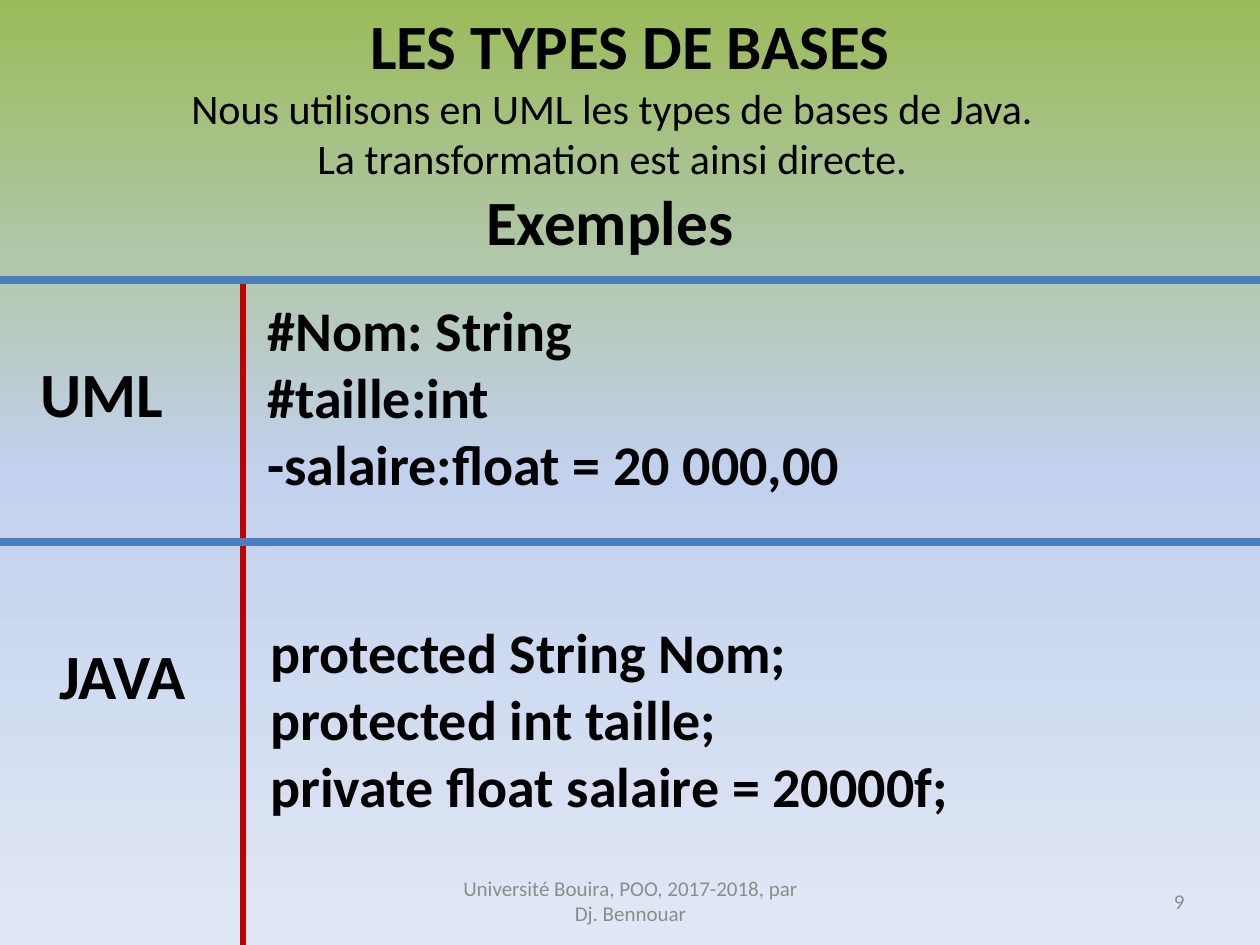
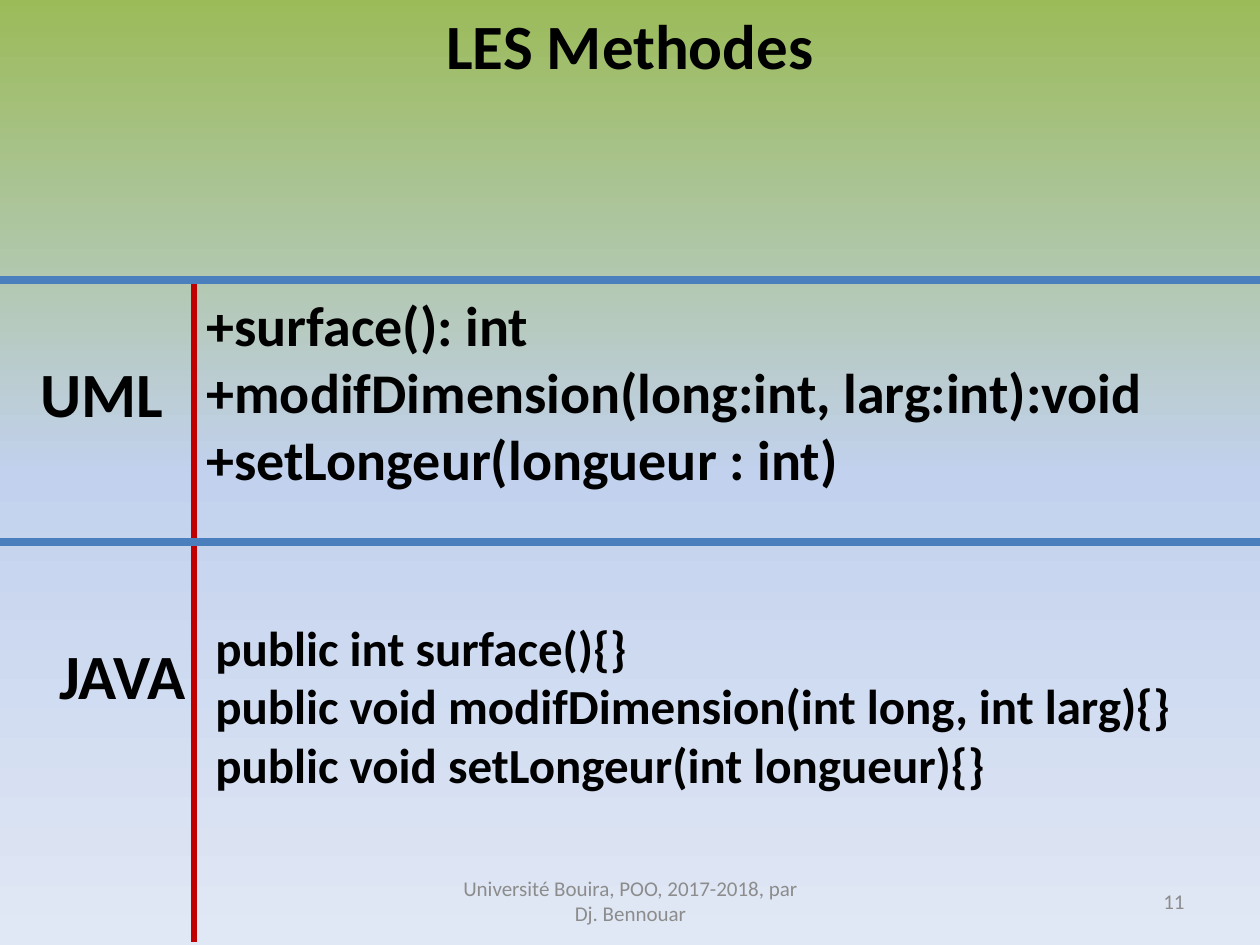
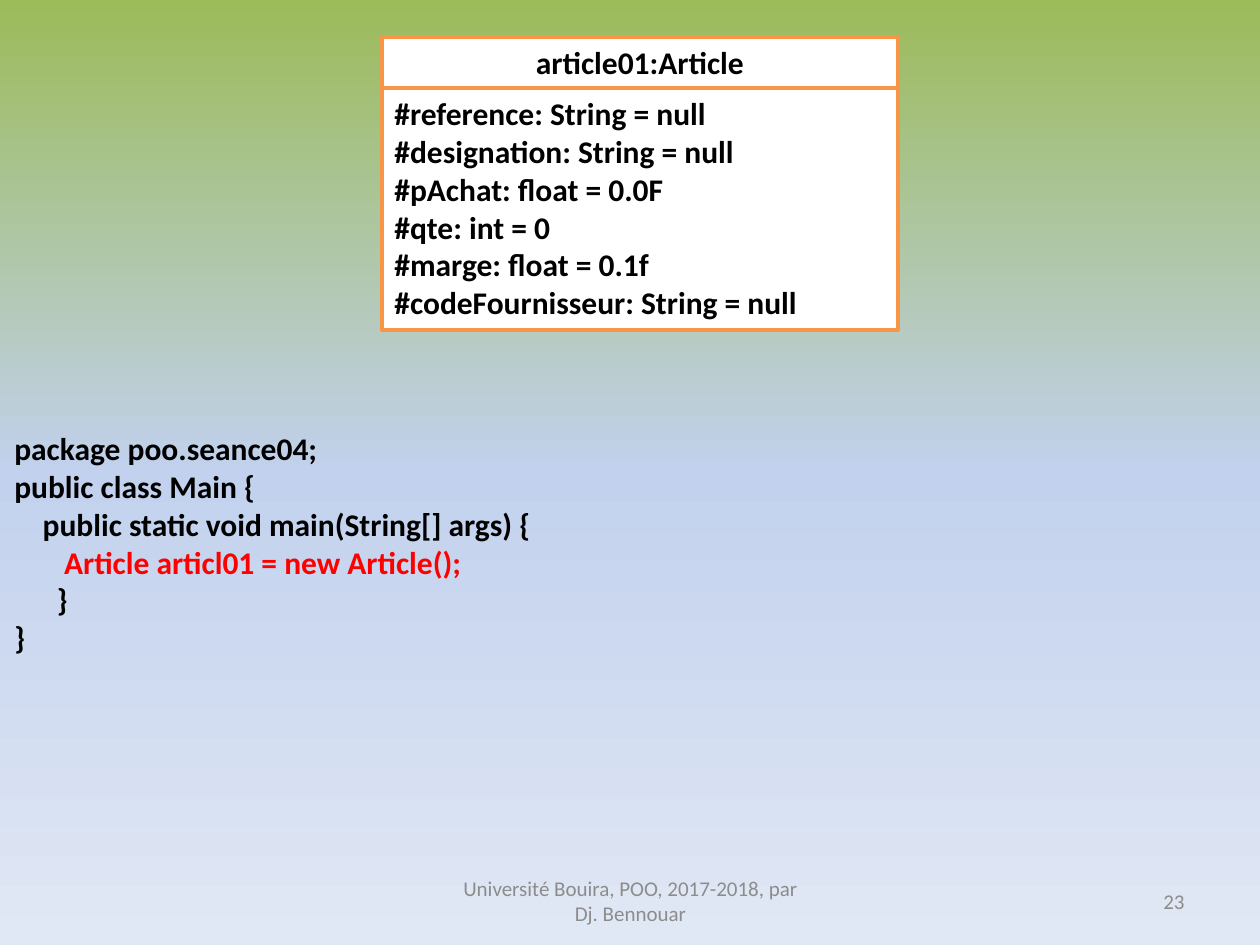
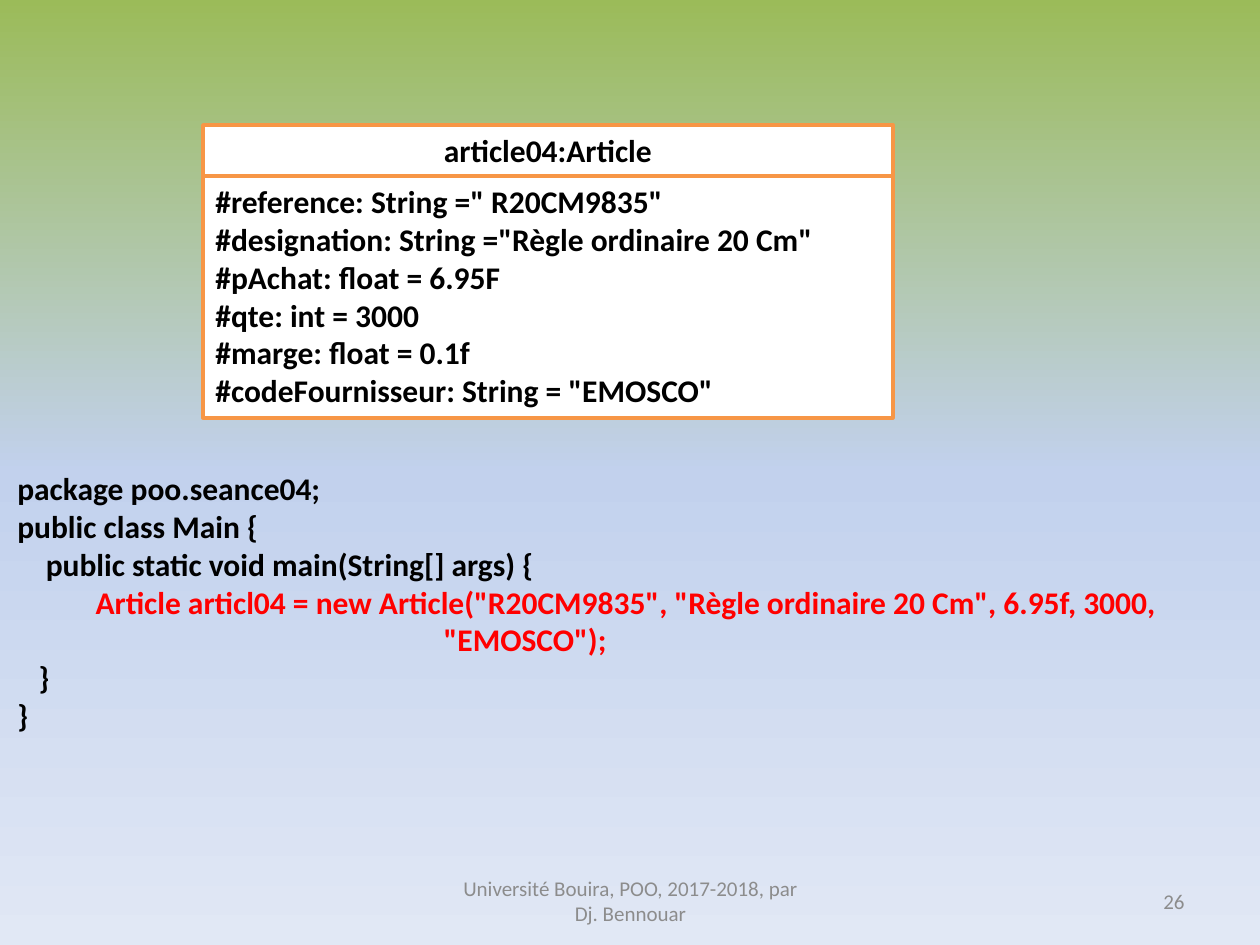
"""Build four slides on UML and Java: base types, methods and Article objects."""
from copy import deepcopy

from lxml import etree
from pptx import Presentation
from pptx.dml.color import RGBColor
from pptx.enum.shapes import MSO_CONNECTOR, MSO_SHAPE
from pptx.enum.text import MSO_ANCHOR, MSO_AUTO_SIZE, PP_ALIGN
from pptx.oxml.ns import qn
from pptx.util import Emu, Pt

LEFT, CENTER, RIGHT = PP_ALIGN.LEFT, PP_ALIGN.CENTER, PP_ALIGN.RIGHT
TOP, MIDDLE = MSO_ANCHOR.TOP, MSO_ANCHOR.MIDDLE
GROW, FIXED = MSO_AUTO_SIZE.SHAPE_TO_FIT_TEXT, MSO_AUTO_SIZE.NONE
STRAIGHT = MSO_CONNECTOR.STRAIGHT
RECTANGLE = MSO_SHAPE.RECTANGLE

SCALE = 914400 / 126
WIDTH, HEIGHT = 1260, 945
FONT = "Calibri"

BLACK = RGBColor(0x00, 0x00, 0x00)
WHITE = RGBColor(0xFF, 0xFF, 0xFF)
GRAY = RGBColor(0x8C, 0x8C, 0x8C)
BLUE = RGBColor(0x4B, 0x7E, 0xBC)
DARK_RED = RGBColor(0xC0, 0x00, 0x00)
RED = RGBColor(0xFF, 0x00, 0x00)
ORANGE = RGBColor(0xF7, 0x96, 0x46)
BACKGROUND = (
    RGBColor(0x9B, 0xBB, 0x59),
    RGBColor(0xC2, 0xD1, 0xED),
    RGBColor(0xE1, 0xE8, 0xF5),
)

FOOTER = "Université Bouira, POO, 2017-2018, par Dj. Bennouar"
FOOTER_INSET = 25
RULES = (280, 542)


def px(*lengths):
    """Turn pixel lengths into EMU."""
    return [Emu(round(n * SCALE)) for n in lengths]


def set_background(master):
    """Give the master the shared vertical three-colour gradient."""
    fill = master.background.fill
    fill.gradient()
    fill.gradient_angle = 270
    stops = next(master.element.iter(qn("a:gsLst")))
    stops.insert(1, deepcopy(stops[0]))
    for i, (stop, color) in enumerate(zip(fill.gradient_stops, BACKGROUND)):
        stop.position = i / 2
        stop.color.rgb = color


def add_paragraph(tf, text, size, bold=True, color=BLACK, align=LEFT):
    """Append one paragraph, using the empty first one when there is one."""
    p = tf.paragraphs[0]
    if p.runs:
        p = tf.add_paragraph()
    p.alignment = align
    r = p.add_run()
    r.text = text
    r.font.name = FONT
    r.font.size = Pt(size)
    r.font.bold = bold
    r.font.color.rgb = color


def set_frame(tf, anchor=TOP, auto_size=GROW):
    """Set wrapping, anchor and fitting of a text frame."""
    tf.word_wrap = True
    tf.vertical_anchor = anchor
    tf.auto_size = auto_size


def add_text(s, box, lines, size, bold=True, color=BLACK, align=LEFT,
             anchor=TOP, auto_size=GROW):
    """Add a text box with one paragraph per line and return its frame."""
    tf = s.shapes.add_textbox(*px(*box)).text_frame
    set_frame(tf, anchor, auto_size)
    for line in lines:
        add_paragraph(tf, line, size, bold, color, align)
    return tf


def add_line(s, start, end, color, width):
    """Add a straight line without shadow."""
    line = s.shapes.add_connector(STRAIGHT, *px(*start, *end))
    line.line.color.rgb = color
    line.line.width = Pt(width)
    etree.SubElement(line.element.spPr, qn("a:effectLst"))


def add_slide(prs, number):
    """Add a blank slide with the footer and its number."""
    s = prs.slides.add_slide(prs.slide_layouts[6])
    style = {"size": 12, "bold": False, "color": GRAY,
             "anchor": MIDDLE, "auto_size": FIXED}
    tf = add_text(s, (431, 876, 399, 50), [FOOTER], align=CENTER, **style)
    tf.margin_left, tf.margin_right = px(FOOTER_INSET, FOOTER_INSET)
    add_text(s, (903, 876, 294, 50), [str(number)], align=RIGHT, **style)
    return s


def add_comparison(s, title, divider_x, divider_top):
    """Lay out the title, the UML and JAVA rows and their rules."""
    add_text(s, (28, 348, 188, 89), ["UML"], 36)
    add_text(s, (47, 630, 238, 89), ["JAVA"], 36)
    add_line(s, (divider_x, divider_top), (divider_x, divider_top + 661), DARK_RED, 3)
    for y in RULES:
        add_line(s, (0, y), (WIDTH, y), BLUE, 4.5)
    add_text(s, (0, 0, WIDTH, 89), [title], 36, align=CENTER)


def add_compartment(group, box, lines, align):
    """Add one white, orange-edged compartment of an object box."""
    sp = group.shapes.add_shape(RECTANGLE, *px(*box))
    sp.shadow.inherit = False
    sp.fill.solid()
    sp.fill.fore_color.rgb = WHITE
    sp.line.color.rgb = ORANGE
    sp.line.width = Pt(2)
    set_frame(sp.text_frame)
    for line in lines:
        add_paragraph(sp.text_frame, line, 18, align=align)


def add_object(s, left, top, width, name, attributes):
    """Add a UML object: its name above its attributes."""
    group = s.shapes.add_group_shape()
    add_compartment(group, (left, top, width, 51), [name], CENTER)
    add_compartment(group, (left, top + 51, width, 242), attributes, LEFT)


def add_main_class(s, box, creation, closing):
    """Add the Main class with the object creation lines in red."""
    tf = add_text(s, box, [
        "package poo.seance04;",
        "public class Main {",
        "    public static void main(String[] args) {",
    ], 18)
    for line in creation:
        add_paragraph(tf, line, 18, color=RED)
    for line in (closing, "}"):
        add_paragraph(tf, line, 18)


def main():
    """Build and save the four slides."""
    prs = Presentation()
    prs.slide_width, prs.slide_height = px(WIDTH, HEIGHT)
    set_background(prs.slide_master)

    s = add_slide(prs, 9)
    add_comparison(s, "LES TYPES DE BASES", 243, 284)
    add_text(s, (255, 289, 983, 217), [
        "#Nom: String",
        "#taille:int",
        "-salaire:float = 20 000,00",
    ], 32)
    intro = add_text(s, (0, 76, 1234, 190), [
        "Nous utilisons en UML les types de bases de Java. ",
        "La transformation est ainsi directe. ",
    ], 24, bold=False, align=CENTER)
    add_paragraph(intro, "Exemples ", 36, align=CENTER)
    add_text(s, (258, 611, 983, 217), [
        "protected String Nom;",
        "protected int taille;",
        "private float salaire = 20000f;",
    ], 32)

    s = add_slide(prs, 11)
    add_comparison(s, "LES Methodes", 194, 281)
    add_text(s, (194, 284, 1051, 217), [
        "+surface(): int",
        "+modifDimension(long:int, larg:int):void",
        "+setLongeur(longueur : int)",
    ], 32)
    add_text(s, (203, 611, 1057, 190), [
        "public int surface(){}",
        "public void modifDimension(int long, int larg){}",
        "public void setLongeur(int longueur){}",
    ], 28)

    s = add_slide(prs, 23)
    add_main_class(s, (2, 423, 1221, 242), [
        "       Article articl01 = new Article();",
    ], "      }")
    add_object(s, 382, 37, 516, "article01:Article", [
        "#reference: String = null",
        "#designation: String = null",
        "#pAchat: float = 0.0F",
        "#qte: int = 0",
        "#marge: float = 0.1f",
        "#codeFournisseur: String = null",
    ])

    s = add_slide(prs, 26)
    add_main_class(s, (5, 463, 1221, 280), [
        '           Article articl04 = new Article("R20CM9835", '
        '"Règle ordinaire 20 Cm", 6.95f, 3000,',
        '                                                            "EMOSCO");',
    ], "   }")
    add_object(s, 203, 125, 690, "article04:Article", [
        '#reference: String =" R20CM9835"',
        '#designation: String ="Règle ordinaire 20 Cm"',
        "#pAchat: float = 6.95F",
        "#qte: int = 3000",
        "#marge: float = 0.1f",
        '#codeFournisseur: String = "EMOSCO"',
    ])

    prs.save("out.pptx")


if __name__ == "__main__":
    main()
